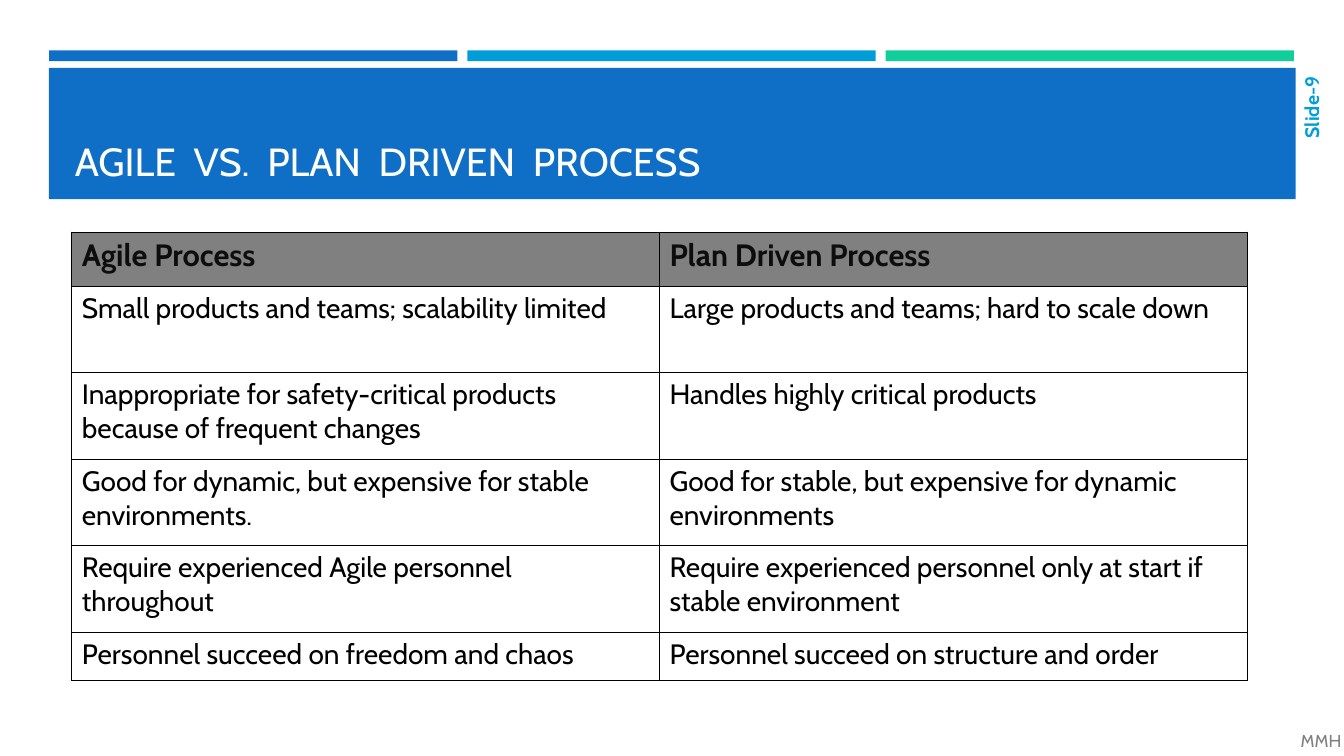
from dataclasses import dataclass

from lxml.etree import SubElement
from pptx import Presentation
from pptx.dml.color import RGBColor
from pptx.enum.shapes import MSO_SHAPE
from pptx.enum.text import MSO_ANCHOR, PP_ALIGN
from pptx.oxml.ns import qn
from pptx.util import Cm, Pt


@dataclass(frozen=True)
class Theme:
    font: str = "Cabin"
    blue: str = "0F6FC6"
    cyan: str = "009DD9"
    green: str = "10CF9B"
    white: str = "FFFFFF"
    black: str = "000000"
    header_text: str = "0D0D0D"
    gray: str = "808080"
    title_size: float = 28
    header_size: float = 22
    body_size: float = 20
    number_size: float = 14
    footer_size: float = 12.3


theme = Theme()


def write(text_frame, text, size, color, bold=False, align=PP_ALIGN.LEFT):
    text_frame.text = text
    paragraph = text_frame.paragraphs[0]
    paragraph.alignment = align
    font = paragraph.runs[0].font
    font.name, font.size, font.bold = theme.font, Pt(size), bold
    font.color.rgb = RGBColor.from_string(color)


def add_bar(left, top, width, height, color):
    bar = slide.shapes.add_shape(
        MSO_SHAPE.RECTANGLE, Cm(left), Cm(top), Cm(width), Cm(height))
    bar.shadow.inherit = False
    bar.fill.solid()
    bar.fill.fore_color.rgb = RGBColor.from_string(color)
    bar.line.fill.background()


presentation = Presentation()
presentation.slide_width, presentation.slide_height = Cm(33.87), Cm(19.05)
slide = presentation.slides.add_slide(presentation.slide_layouts[5])

# Header: three accent bars above the title band
for index, color in enumerate((theme.blue, theme.cyan, theme.green)):
    add_bar(1.24 + index * 10.54, 1.27, 10.29, 0.27, color)
add_bar(1.23, 1.71, 31.42, 3.31, theme.blue)

title = slide.shapes.title
title.left, title.top, title.width, title.height = Cm(1.63), Cm(1.96), Cm(30.63), Cm(2.82)
title.text_frame.vertical_anchor = MSO_ANCHOR.BOTTOM
write(title.text_frame, "AGILE  VS.  PLAN  DRIVEN  PROCESS", theme.title_size, theme.white)
slide.shapes._spTree.append(title._element)  # bring the title in front of its band

# Slide number, reading upwards beside the band
number_box = slide.shapes.add_textbox(Cm(32.69), Cm(1.68), Cm(0.71), Cm(2.74))
number_frame = number_box.text_frame
number_frame.word_wrap = True
number_frame.vertical_anchor = MSO_ANCHOR.MIDDLE
number_frame.margin_left = number_frame.margin_right = Cm(0.13)
number_frame._txBody.bodyPr.set("vert", "vert270")
write(number_frame, "Slide-9", theme.number_size, theme.cyan, True, PP_ALIGN.RIGHT)

# Comparison table
comparison = [
    ("Agile Process", "Plan Driven Process"),
    ("Small products and teams; scalability limited",
     "Large products and teams; hard to scale down"),
    ("Inappropriate for safety-critical products because of frequent changes",
     "Handles highly critical products"),
    ("Good for dynamic, but expensive for stable environments.",
     "Good for stable, but expensive for dynamic environments"),
    ("Require experienced Agile personnel throughout",
     "Require experienced personnel only at start if stable environment"),
    ("Personnel succeed on freedom and chaos",
     "Personnel succeed on structure and order"),
]
row_heights = [1.36] + [2.18] * 4 + [1.22]
table = slide.shapes.add_table(
    len(comparison), 2, Cm(1.81), Cm(5.85), Cm(29.62), Cm(sum(row_heights))).table
table.horz_banding = False
for column in table.columns:
    column.width = Cm(14.81)

for row_index, (texts, height) in enumerate(zip(comparison, row_heights)):
    table.rows[row_index].height = Cm(height)
    for cell, text in zip(table.rows[row_index].cells, texts):
        cell_properties = cell._tc.get_or_add_tcPr()
        for side in ("a:lnL", "a:lnR", "a:lnT", "a:lnB"):
            border = SubElement(cell_properties, qn(side), w=str(Pt(1)))
            border_fill = SubElement(border, qn("a:solidFill"))
            SubElement(border_fill, qn("a:srgbClr"), val=theme.black)
        if row_index == 0:
            cell.fill.solid()
            cell.fill.fore_color.rgb = RGBColor.from_string(theme.gray)
            write(cell.text_frame, text, theme.header_size, theme.header_text, True)
        else:
            cell.fill.background()
            write(cell.text_frame, text, theme.body_size, theme.black)

# Footer initials
footer_box = slide.shapes.add_textbox(Cm(32.08), Cm(18.29), Cm(1.78), Cm(0.76))
footer_frame = footer_box.text_frame
footer_frame.word_wrap = True
footer_frame.vertical_anchor = MSO_ANCHOR.MIDDLE
footer_frame.margin_right = Cm(0.05)
write(footer_frame, "MMH", theme.footer_size, theme.gray, align=PP_ALIGN.RIGHT)

presentation.save("out.pptx")
